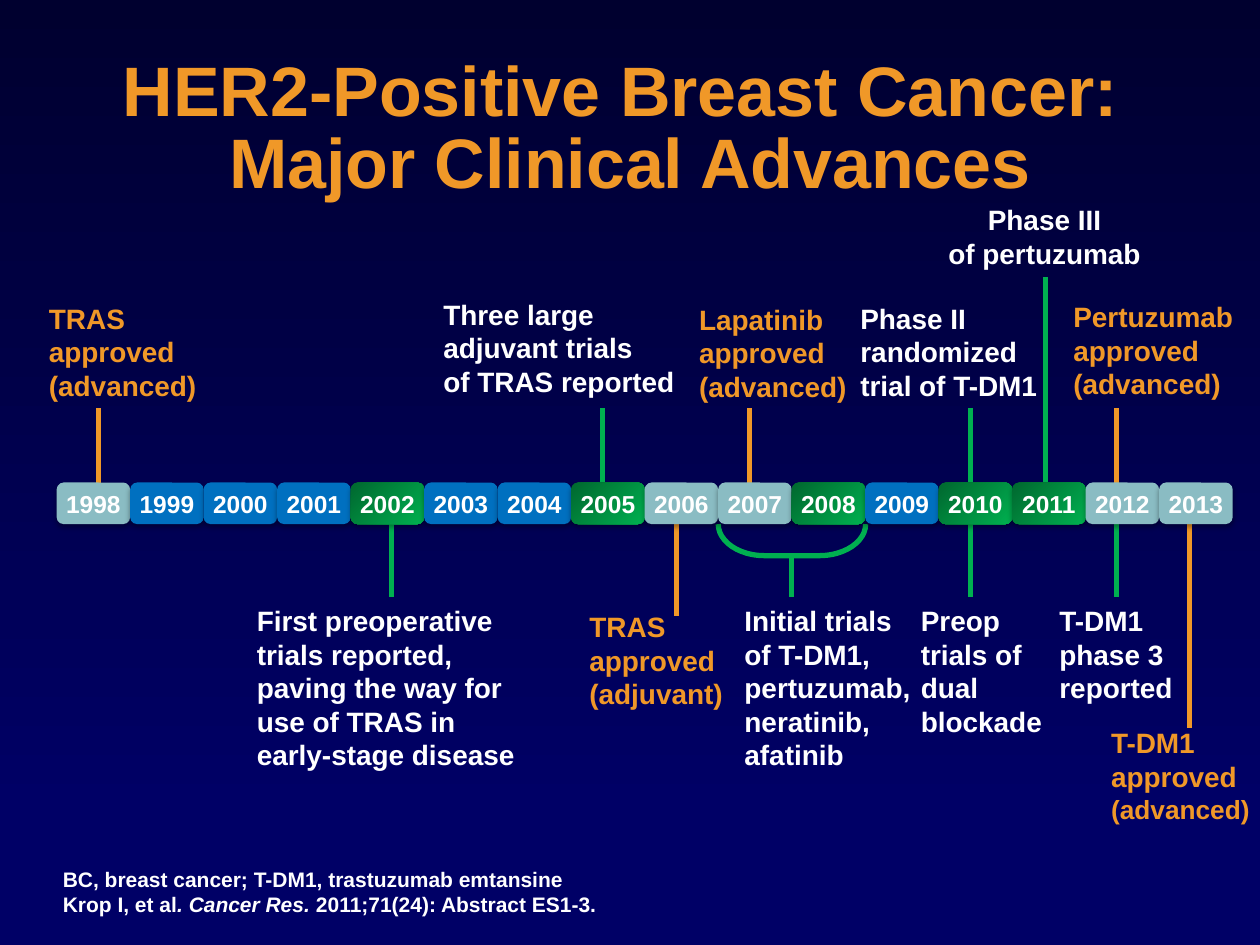
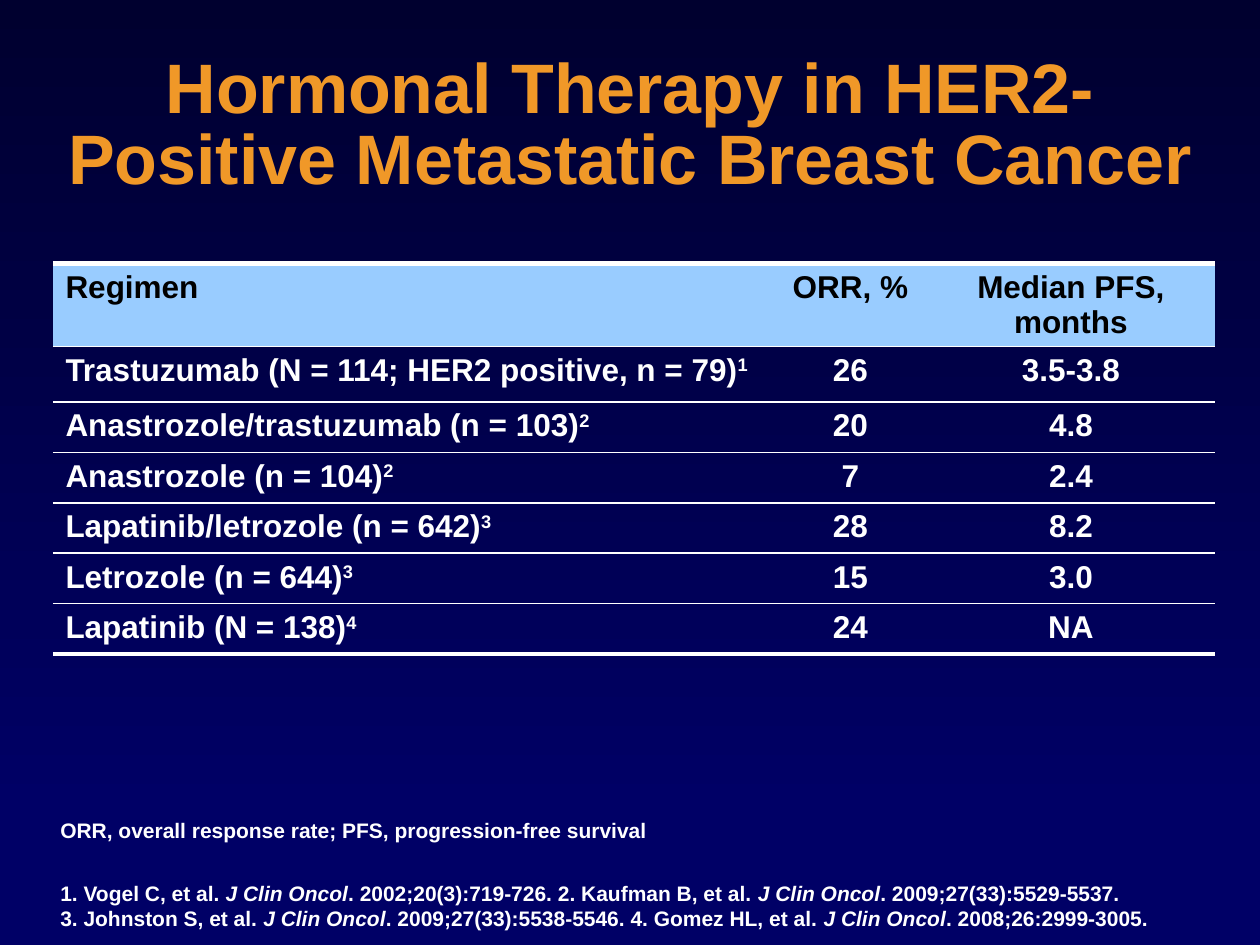
from lxml.etree import SubElement
from pptx import Presentation
from pptx.dml.color import RGBColor
from pptx.enum.shapes import MSO_CONNECTOR, MSO_SHAPE
from pptx.enum.text import MSO_ANCHOR, MSO_AUTO_SIZE, PP_ALIGN
from pptx.oxml.ns import qn
from pptx.util import Inches, Pt

CELL = Inches(0.1)
COLUMNS, ROWS = 100, 75
FONT = "Arial"
NAVY_TOP, NAVY = "00002F", "000066"
ORANGE, WHITE, BLACK = "F09828", "FFFFFF", "000000"
GREEN, DEEP_GREEN = "00B050", "00682F"
TEAL, BLUE, SKY = "8ABCC3", "0070C0", "99CCFF"
LEFT, CENTER = PP_ALIGN.LEFT, PP_ALIGN.CENTER

APPROVAL_YEARS = {1998, 2006, 2007, 2012, 2013}
TRIAL_YEARS = {2002, 2005, 2008, 2010, 2011}
FIRST_YEAR, LAST_YEAR = 1998, 2013
BAND_LEFT, BAND_TOP, BAND_HEIGHT = 4.5, 38.3, 3.3
YEAR_PITCH = 70 / 12

UPPER, LOWER = 32.4, 47.4
BAND_BOTTOM = BAND_TOP + BAND_HEIGHT
STEMS = [
    (7.8, UPPER, BAND_TOP, ORANGE),
    (47.8, UPPER, BAND_TOP, GREEN),
    (59.5, UPPER, BAND_TOP, ORANGE),
    (77, UPPER, BAND_TOP, GREEN),
    (83, 22, BAND_TOP, GREEN),
    (88.6, UPPER, BAND_TOP, ORANGE),
    (31.1, BAND_BOTTOM, LOWER, GREEN),
    (53.7, BAND_BOTTOM, 48.9, ORANGE),
    (62.8, 44.1, LOWER, GREEN),
    (77, BAND_BOTTOM, LOWER, GREEN),
    (88.6, BAND_BOTTOM, LOWER, GREEN),
    (94.4, BAND_BOTTOM, 57.8, ORANGE),
]
CAPTIONS = [
    ((2.9, 23.4, 16, 9.1), ORANGE, LEFT, "TRAS\napproved\v(advanced)"),
    ((34.2, 23.1, 21.2, 9.1), WHITE, LEFT,
     "Three large\nadjuvant trials\nof TRAS reported"),
    ((54.5, 23.5, 15.9, 9.1), ORANGE, LEFT, "Lapatinib\napproved\n(advanced)"),
    ((67.3, 23.4, 17.8, 9.1), WHITE, LEFT,
     "Phase II\nrandomized\ntrial of T-DM1"),
    ((73, 15.6, 19.8, 6.4), WHITE, CENTER, "Phase III\nof pertuzumab"),
    ((84.2, 23.3, 15.8, 9.1), ORANGE, LEFT, "Pertuzumab approved (advanced)"),
    ((19.4, LOWER, 23.3, 14.5), WHITE, LEFT,
     "First preoperative\ntrials reported, paving the way for use of TRAS "
     "in early-stage disease"),
    ((45.8, 47.9, 16, 9.1), ORANGE, LEFT, "TRAS\napproved\v(adjuvant)"),
    ((58.1, LOWER, 15.5, 14.5), WHITE, LEFT,
     "Initial trials\nof T-DM1,\npertuzumab,\nneratinib, afatinib"),
    ((72.1, LOWER, 15.5, 11.8), WHITE, LEFT,
     "Preop\ntrials of\ndual blockade"),
    ((83.1, LOWER, 13, 9.1), WHITE, LEFT, "T-DM1 phase 3 reported"),
]
REGIMENS = [
    ("Regimen", "ORR, %", "Median PFS, months"),
    ("Trastuzumab (N = 114; HER2 positive, n = 79)^1", "26", "3.5-3.8"),
    ("Anastrozole/trastuzumab (n = 103)^2", "20", "4.8"),
    ("Anastrozole (n = 104)^2", "7", "2.4"),
    ("Lapatinib/letrozole (n = 642)^3", "28", "8.2"),
    ("Letrozole (n = 644)^3", "15", "3.0"),
    ("Lapatinib (N = 138)^4", "24", "NA"),
]
COLUMN_WIDTHS = (57.2, 12.2, 22.8)
ROW_HEIGHTS = (6.5, 4.4, 4, 4, 4, 4, 4)


def grid(*units):
    """Convert grid units to slide lengths."""
    return [round(unit * CELL) for unit in units]


def color(value):
    """Turn a hex string into a colour."""
    return RGBColor.from_string(value)


def gradient(fill, stops, angle):
    """Apply a two-stop linear gradient given as (position, colour) pairs."""
    fill.gradient()
    fill.gradient_angle = angle
    for stop, (position, value) in zip(fill.gradient_stops, stops):
        stop.position = position
        stop.color.rgb = color(value)


def drop_shadow(parent, blur, distance, degrees, opacity):
    """Append a black outer shadow to a properties element."""
    effects = SubElement(parent, qn("a:effectLst"))
    outer = SubElement(effects, qn("a:outerShdw"), blurRad=str(Pt(blur)),
                       dist=str(Pt(distance)), dir=str(degrees * 60000),
                       algn="ctr", rotWithShape="0")
    black = SubElement(outer, qn("a:srgbClr"), val=BLACK)
    SubElement(black, qn("a:alpha"), val=str(opacity * 1000))
    return effects


def style(paragraph, size, value, align=LEFT):
    """Format every run of a paragraph in the bold deck font."""
    paragraph.alignment = align
    for run in paragraph.runs:
        run.font.name = FONT
        run.font.size = Pt(size)
        run.font.bold = True
        run.font.color.rgb = color(value)


def write_spans(paragraph, text, mark):
    """Write runs split at a mark and return every second one."""
    for span in text.split(mark):
        paragraph.add_run().text = span
    return paragraph.runs[1::2]


def add_title(slide, box, text):
    """Place and format the slide title."""
    title = slide.shapes.title
    title.left, title.top, title.width, title.height = grid(*box)
    frame = title.text_frame
    frame.text = text
    frame.auto_size = MSO_AUTO_SIZE.NONE
    frame.vertical_anchor = MSO_ANCHOR.MIDDLE
    heading = frame.paragraphs[0]
    heading.line_spacing = 0.85
    style(heading, 40, ORANGE, CENTER)
    for run in heading.runs:
        properties = run.font._element
        effects = drop_shadow(properties, 1, 3, 45, 100)
        properties.find(qn("a:solidFill")).addnext(effects)


def add_caption(slide, box, value, align, text):
    """Add a wrapped timeline caption."""
    frame = slide.shapes.add_textbox(*grid(*box)).text_frame
    frame.word_wrap = True
    frame.text = text
    for paragraph in frame.paragraphs:
        style(paragraph, 16, value, align)
    return frame


def add_footer(slide, box, lines):
    """Add source lines whose starred spans are italic."""
    frame = slide.shapes.add_textbox(*grid(*box)).text_frame
    frame.word_wrap = True
    for index, line in enumerate(lines):
        paragraph = frame.add_paragraph() if index else frame.paragraphs[0]
        journals = write_spans(paragraph, line, "*")
        style(paragraph, 12, WHITE)
        for journal in journals:
            journal.font.italic = True


def add_year(slide, year):
    """Add one year chip, coloured by what happened in that year."""
    left = BAND_LEFT + (year - FIRST_YEAR) * YEAR_PITCH
    chip = slide.shapes.add_shape(MSO_SHAPE.FLOWCHART_ALTERNATE_PROCESS,
                                  *grid(left, BAND_TOP, YEAR_PITCH, BAND_HEIGHT))
    if year in TRIAL_YEARS:
        gradient(chip.fill, [(0, DEEP_GREEN), (1, GREEN)], 315)
    else:
        chip.fill.solid()
        chip.fill.fore_color.rgb = color(TEAL if year in APPROVAL_YEARS else BLUE)
    chip.line.fill.background()
    drop_shadow(chip._element.spPr, 3.1, 1.8, 90, 35)
    frame = chip.text_frame
    frame.margin_left = frame.margin_right = 0
    frame.word_wrap = False
    frame.vertical_anchor = MSO_ANCHOR.MIDDLE
    frame.text = str(year)
    style(frame.paragraphs[0], 14, WHITE, CENTER)


def add_stem(slide, x, top, bottom, value):
    """Draw a vertical line between the band and a caption."""
    stem = slide.shapes.add_connector(MSO_CONNECTOR.STRAIGHT,
                                      *grid(x, top, x, bottom))
    stem.line.color.rgb = color(value)
    stem.line.width = Pt(3)
    SubElement(stem._element.spPr, qn("a:effectLst"))


def add_bracket(slide, box):
    """Draw the bracket that joins two years below the band."""
    bracket = slide.shapes.add_shape(MSO_SHAPE.RIGHT_BRACKET, *grid(*box))
    bracket.rotation = 90
    bracket.adjustments[0] = 1.47
    bracket.shadow.inherit = False
    bracket.fill.background()
    bracket.line.color.rgb = color(GREEN)
    bracket.line.width = Pt(3)


def set_borders(cell, top, bottom):
    """Give a cell white rules above and below and none at its sides."""
    properties = cell._tc.get_or_add_tcPr()
    for side, width in (("L", 0), ("R", 0), ("T", top), ("B", bottom)):
        rule = SubElement(properties, qn(f"a:ln{side}"), w=str(Pt(width)))
        if width:
            paint = SubElement(rule, qn("a:solidFill"))
            SubElement(paint, qn("a:srgbClr"), val=WHITE)
        else:
            SubElement(rule, qn("a:noFill"))


def fill_cell(cell, text, is_header, align):
    """Fill one cell, raising the reference number after a caret."""
    if is_header:
        cell.fill.solid()
        cell.fill.fore_color.rgb = color(SKY)
    else:
        cell.fill.background()
    paragraph = cell.text_frame.paragraphs[0]
    references = write_spans(paragraph, text, "^")
    style(paragraph, 18, BLACK if is_header else WHITE, align)
    for reference in references:
        reference.font._element.set("baseline", "30000")


def add_regimen_table(slide, left, top):
    """Add the table of regimens and outcomes."""
    size = grid(left, top, sum(COLUMN_WIDTHS), sum(ROW_HEIGHTS))
    table = slide.shapes.add_table(len(REGIMENS), len(COLUMN_WIDTHS), *size).table
    table.first_row = table.horz_banding = False
    for column, width in zip(table.columns, grid(*COLUMN_WIDTHS)):
        column.width = width
    for row, height in zip(table.rows, grid(*ROW_HEIGHTS)):
        row.height = height
    last = len(REGIMENS) - 1
    for r, regimen in enumerate(REGIMENS):
        for c, text in enumerate(regimen):
            cell = table.cell(r, c)
            set_borders(cell, 1 if r else 3, 3 if r == last else 1)
            fill_cell(cell, text, r == 0, CENTER if c else LEFT)


def build_timeline(slide):
    """Build the timeline of clinical advances."""
    add_title(slide, (0, 5, 100, 10.8),
              "HER2-Positive Breast Cancer: \vMajor Clinical Advances")
    for stem in STEMS:
        add_stem(slide, *stem)
    add_bracket(slide, (61.6, 37, 2.5, 11.7))
    for year in range(FIRST_YEAR, LAST_YEAR + 1):
        add_year(slide, year)
    for caption in CAPTIONS:
        add_caption(slide, *caption)
    latest = add_caption(slide, (87.2, 57.1, 14.3, 8.9), ORANGE, LEFT,
                         "T-DM1 approved\n(advanced)")
    style(latest.paragraphs[-1], 15, ORANGE)
    add_footer(slide, (4, 68.3, 87.9, 5), [
        "BC, breast cancer; T-DM1, trastuzumab emtansine",
        "Krop I, et al*. Cancer Res.* 2011;71(24): Abstract ES1-3."])


def build_hormonal_therapy(slide):
    """Build the comparison of hormonal regimens."""
    add_title(slide, (3.7, 3.9, 92.6, 12.5),
              "Hormonal Therapy in HER2-Positive Metastatic Breast Cancer")
    add_regimen_table(slide, 4.2, 20.9)
    add_footer(slide, (3.8, 64.4, 96.2, 3), [
        "ORR, overall response rate; PFS, progression-free survival"])
    add_footer(slide, (3.8, 69.4, 96.2, 5), [
        "1. Vogel C, et al. *J Clin Oncol*. 2002;20(3):719-726. "
        "2. Kaufman B, et al. *J Clin Oncol*. 2009;27(33):5529-5537.",
        "3. Johnston S, et al. *J Clin Oncol*. 2009;27(33):5538-5546. "
        "4. Gomez HL, et al. *J Clin Oncol*. 2008;26:2999-3005."])


def main():
    """Build and save the deck."""
    deck = Presentation()
    deck.slide_width, deck.slide_height = grid(COLUMNS, ROWS)
    gradient(deck.slide_master.background.fill,
             [(0, NAVY_TOP), (0.86, NAVY)], 270)
    title_only = deck.slide_layouts[5]
    for build in (build_timeline, build_hormonal_therapy):
        build(deck.slides.add_slide(title_only))
    deck.save("out.pptx")


if __name__ == "__main__":
    main()
